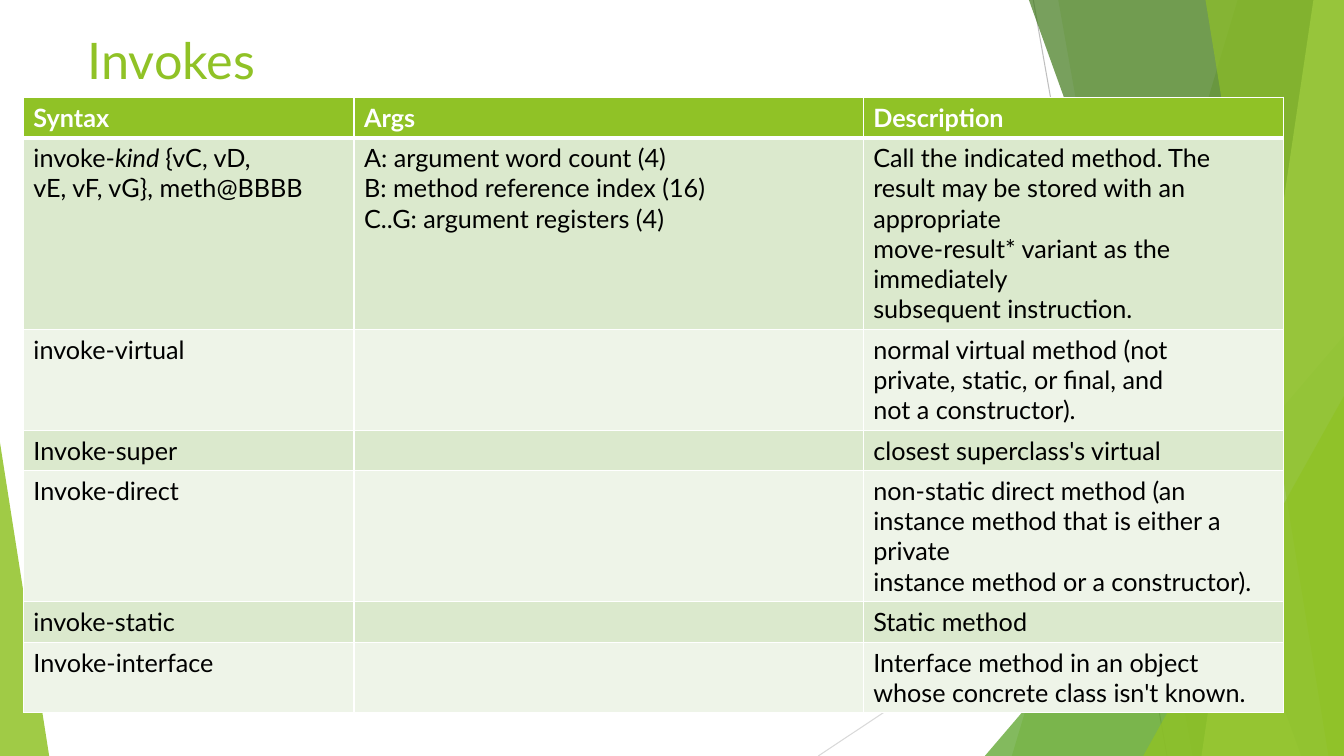
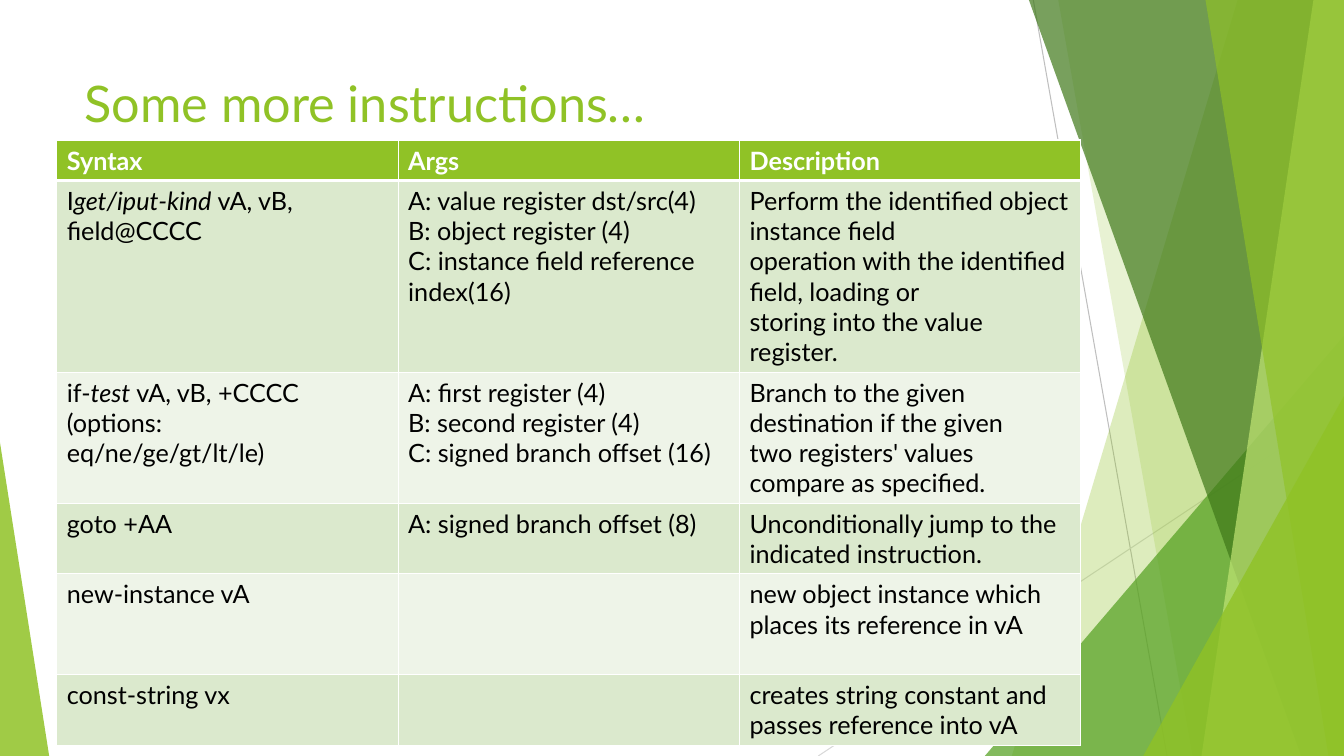
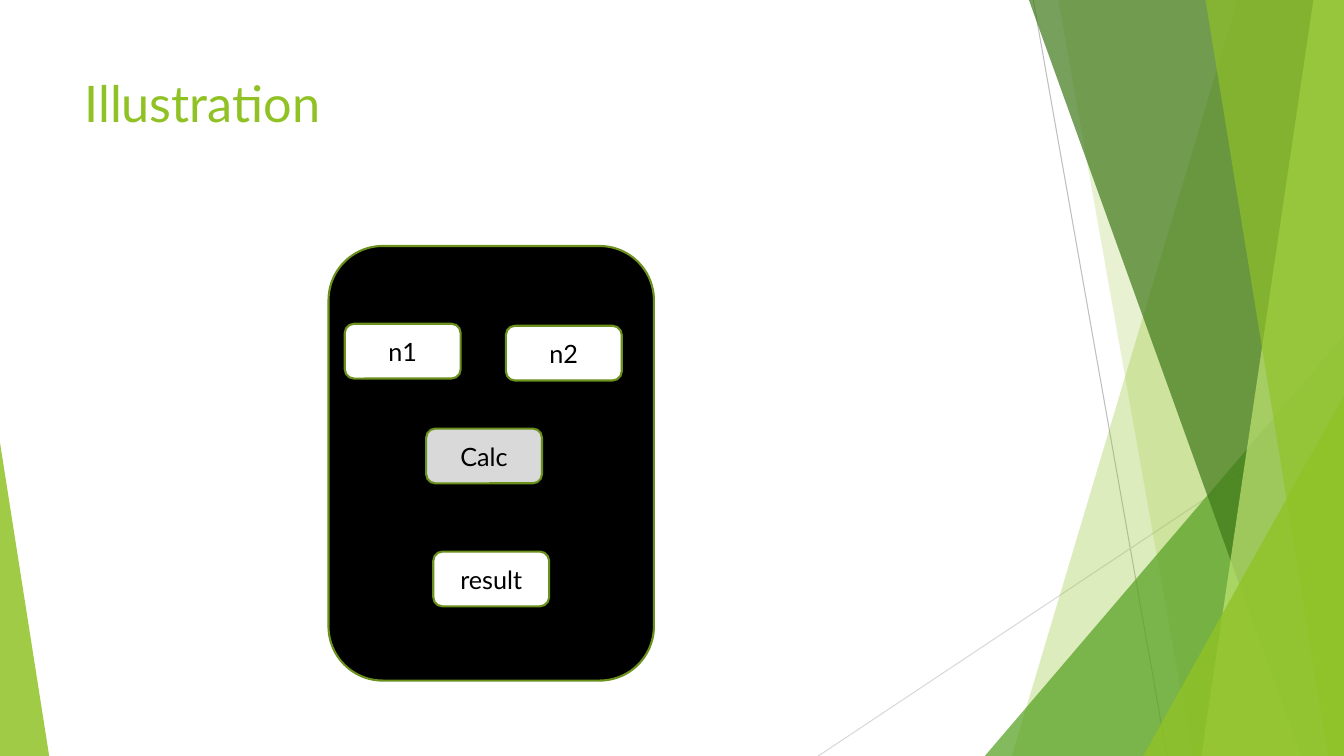
from dataclasses import dataclass

from lxml import etree
from pptx import Presentation
from pptx.dml.color import RGBColor
from pptx.enum.shapes import MSO_CONNECTOR, MSO_SHAPE
from pptx.enum.text import MSO_ANCHOR, PP_ALIGN
from pptx.oxml.ns import qn
from pptx.util import Cm, Pt


@dataclass(frozen=True)
class Theme:
    font: str = "Lato"
    title_size: int = 36
    body_size: int = 18
    lime: str = "90C226"
    green: str = "54A021"
    forest: str = "3F7819"
    pale: str = "C0E474"
    outline: str = "6B901C"
    band_dark: str = "DBE9CD"
    band_light: str = "EEF4E8"
    gray: str = "D9D9D9"
    line_gray: str = "BFBFBF"
    white: str = "FFFFFF"
    black: str = "000000"


@dataclass(frozen=True)
class Box:
    left: float
    top: float
    width: float
    height: float

    def emu(self):
        return Cm(self.left), Cm(self.top), Cm(self.width), Cm(self.height)

    def inner(self, dx, dy, width, height):
        return Box(self.left + dx, self.top + dy, width, height)


THEME = Theme()
PAGE = Box(0, 0, 33.87, 19.05)
TITLE = Box(1.88, 1.7, 23.88, 3.66)
HEADERS = ("Syntax", "Args", "Description")


def rgb(color):
    return RGBColor.from_string(color)


def paint(shape, color, opacity=100, line=None):
    shape.shadow.inherit = False
    shape.fill.solid()
    shape.fill.fore_color.rgb = rgb(color)
    if opacity < 100:
        tone = shape.fill._xPr.find(qn("a:solidFill"))[0]
        etree.SubElement(tone, qn("a:alpha"), val=str(opacity * 1000))
    if line:
        shape.line.color.rgb = rgb(line)
        shape.line.width = Pt(1.5)
    else:
        shape.line.fill.background()


def write(frame, text, color, size=THEME.body_size, bold=False, align=PP_ALIGN.LEFT):
    frame.word_wrap = True
    for index, line in enumerate(text.split("\n")):
        paragraph = frame.paragraphs[0] if index == 0 else frame.add_paragraph()
        paragraph.alignment = align
        for part, words in enumerate(line.split("_")):
            if words:
                run = paragraph.add_run()
                run.text = words
                run.font.name = THEME.font
                run.font.size = Pt(size)
                run.font.bold = bold
                run.font.italic = part % 2 == 1
                run.font.color.rgb = rgb(color)


def add_hairline(slide, start, end, color):
    line = slide.shapes.add_connector(
        MSO_CONNECTOR.STRAIGHT, *(Cm(value) for value in start + end))
    line.line.color.rgb = rgb(color)
    line.line.width = Pt(0.75)
    etree.SubElement(line._element.spPr, qn("a:effectLst"))


def add_ray(slide, box, top_x, bottom_x, color, opacity):
    right, bottom = box.left + box.width, box.top + box.height
    corners = [(right, box.top), (right, bottom), (bottom_x, bottom)]
    builder = slide.shapes.build_freeform(Cm(top_x), Cm(box.top))
    builder.add_line_segments([(Cm(x), Cm(y)) for x, y in corners])
    paint(builder.convert_to_shape(), color, opacity)


def add_wedge(slide, box, apex, color, opacity):
    wedge = slide.shapes.add_shape(MSO_SHAPE.ISOSCELES_TRIANGLE, *box.emu())
    wedge.adjustments[0] = apex
    paint(wedge, color, opacity)


def add_facets(slide, box):
    right, bottom = box.left + box.width, box.top + box.height

    def corner(width, height):
        return Box(right - width, bottom - height, width, height)

    add_hairline(slide, (26.04, box.top), (29.41, bottom), THEME.line_gray)
    add_hairline(slide, (right, 10.24), (20.62, bottom), THEME.gray)
    add_ray(slide, box, 31.19, 25.5, THEME.lime, 30)
    add_ray(slide, box, 26.67, 30.05, THEME.lime, 20)
    add_wedge(slide, corner(9.05, 10.59), 1, THEME.green, 72)
    add_ray(slide, box, 25.93, 32.79, THEME.forest, 70)
    add_ray(slide, box, 33.1, 30.28, THEME.pale, 70)
    add_ray(slide, box, 30.38, 33.48, THEME.lime, 65)
    add_wedge(slide, corner(5.06, 9.07), 1, THEME.lime, 80)
    add_wedge(slide, Box(box.left, bottom - 7.9, 1.24, 7.9), 0, THEME.lime, 85)


def add_title(slide, box, text):
    title = slide.shapes.add_textbox(*box.emu())
    write(title.text_frame, text, THEME.lime, THEME.title_size)


def start_slide(deck, title, title_box=TITLE):
    slide = deck.slides.add_slide(deck.slide_layouts[6])
    add_facets(slide, PAGE)
    add_title(slide, title_box, title)
    return slide


def set_borders(cell, bottom):
    properties = cell._tc.get_or_add_tcPr()
    widths = {"a:lnL": 1, "a:lnR": 1, "a:lnT": 1, "a:lnB": bottom}
    for index, (tag, width) in enumerate(widths.items()):
        edge = etree.Element(qn(tag), w=str(Pt(width)))
        fill = etree.SubElement(edge, qn("a:solidFill"))
        etree.SubElement(fill, qn("a:srgbClr"), val=THEME.white)
        properties.insert(index, edge)


def add_instruction_table(slide, box, column_shares, rows, line_counts):
    all_rows = [HEADERS, *rows]
    frame = slide.shapes.add_table(len(all_rows), len(HEADERS), *box.emu())
    table = frame.table
    table.horz_banding = False
    for column, share in zip(table.columns, column_shares):
        column.width = Cm(box.width * share / sum(column_shares))
    for index, (texts, lines) in enumerate(zip(all_rows, [1, *line_counts])):
        header = index == 0
        band = THEME.band_dark if index % 2 else THEME.band_light
        table.rows[index].height = Cm(0.26 + 0.76 * lines)
        for cell, text in zip(table.rows[index].cells, texts):
            cell.fill.solid()
            cell.fill.fore_color.rgb = rgb(THEME.lime if header else band)
            set_borders(cell, 3 if header else 1)
            write(cell.text_frame, text, THEME.white if header else THEME.black, bold=header)


def add_panel(slide, box, fill, label=""):
    panel = slide.shapes.add_shape(MSO_SHAPE.ROUNDED_RECTANGLE, *box.emu())
    paint(panel, fill, line=THEME.outline)
    panel.text_frame.vertical_anchor = MSO_ANCHOR.MIDDLE
    write(panel.text_frame, label, THEME.black, align=PP_ALIGN.CENTER)


def add_calculator(slide, box):
    add_panel(slide, box, THEME.black)
    for label, dx, dy, fill in (
        ("n1", 0.41, 1.96, THEME.white),
        ("n2", 4.47, 2.01, THEME.white),
        ("Calc", 2.46, 4.6, THEME.gray),
        ("result", 2.64, 7.7, THEME.white),
    ):
        add_panel(slide, box.inner(dx, dy, 2.92, 1.38), fill, label)


INVOKES = [
    ("invoke-_kind _{vC, vD,\nvE, vF, vG}, meth@BBBB",
     "A: argument word count (4)\nB: method reference index (16)\n"
     "C..G: argument registers (4)",
     "Call the indicated method. The result may be stored with an appropriate\n"
     "move-result* variant as the immediately\nsubsequent instruction."),
    ("invoke-virtual", "",
     "normal virtual method (not\nprivate, static, or final, and\nnot a constructor)."),
    ("Invoke-super", "", "closest superclass's virtual"),
    ("Invoke-direct", "",
     "non-static direct method (an\ninstance method that is either a private\n"
     "instance method or a constructor)."),
    ("invoke-static", "", "Static method"),
    ("Invoke-interface", "",
     "Interface method in an object\nwhose concrete class isn't known."),
]

MORE_INSTRUCTIONS = [
    ("I_get/iput-kind _vA, vB,\nfield@CCCC",
     "A: value register dst/src(4)\nB: object register (4)\n"
     "C: instance field reference index(16)",
     "Perform the identified object instance field\n"
     "operation with the identified field, loading or\n"
     "storing into the value register."),
    ("if-_test _vA, vB, +CCCC\n(options:\neq/ne/ge/gt/lt/le)",
     "A: first register (4)\nB: second register (4)\nC: signed branch offset (16)",
     "Branch to the given destination if the given\n"
     "two registers' values compare as specified."),
    ("goto +AA", "A: signed branch offset (8)",
     "Unconditionally jump to the indicated instruction."),
    ("new-instance vA", "", "new object instance which places its reference in vA"),
    ("const-string vx", "", "creates string constant and passes reference into vA"),
]


def main():
    deck = Presentation()
    deck.slide_width, deck.slide_height = Cm(PAGE.width), Cm(PAGE.height)

    invokes = start_slide(deck, "Invokes", Box(1.96, 0.61, 23.88, 3.66))
    add_instruction_table(invokes, Box(0.59, 2.45, 31.76, 15.55),
                          (3.28, 5.05, 4.17), INVOKES, (6, 3, 1, 4, 1, 2))

    more = start_slide(deck, "Some more instructions…")
    add_instruction_table(more, Box(1.43, 3.53, 25.81, 15.27),
                          (1, 1, 1), MORE_INSTRUCTIONS, (6, 4, 2, 3, 2))

    illustration = start_slide(deck, "Illustration")
    add_calculator(illustration, Box(8.28, 6.2, 8.2, 10.95))

    deck.save("out.pptx")


main()
